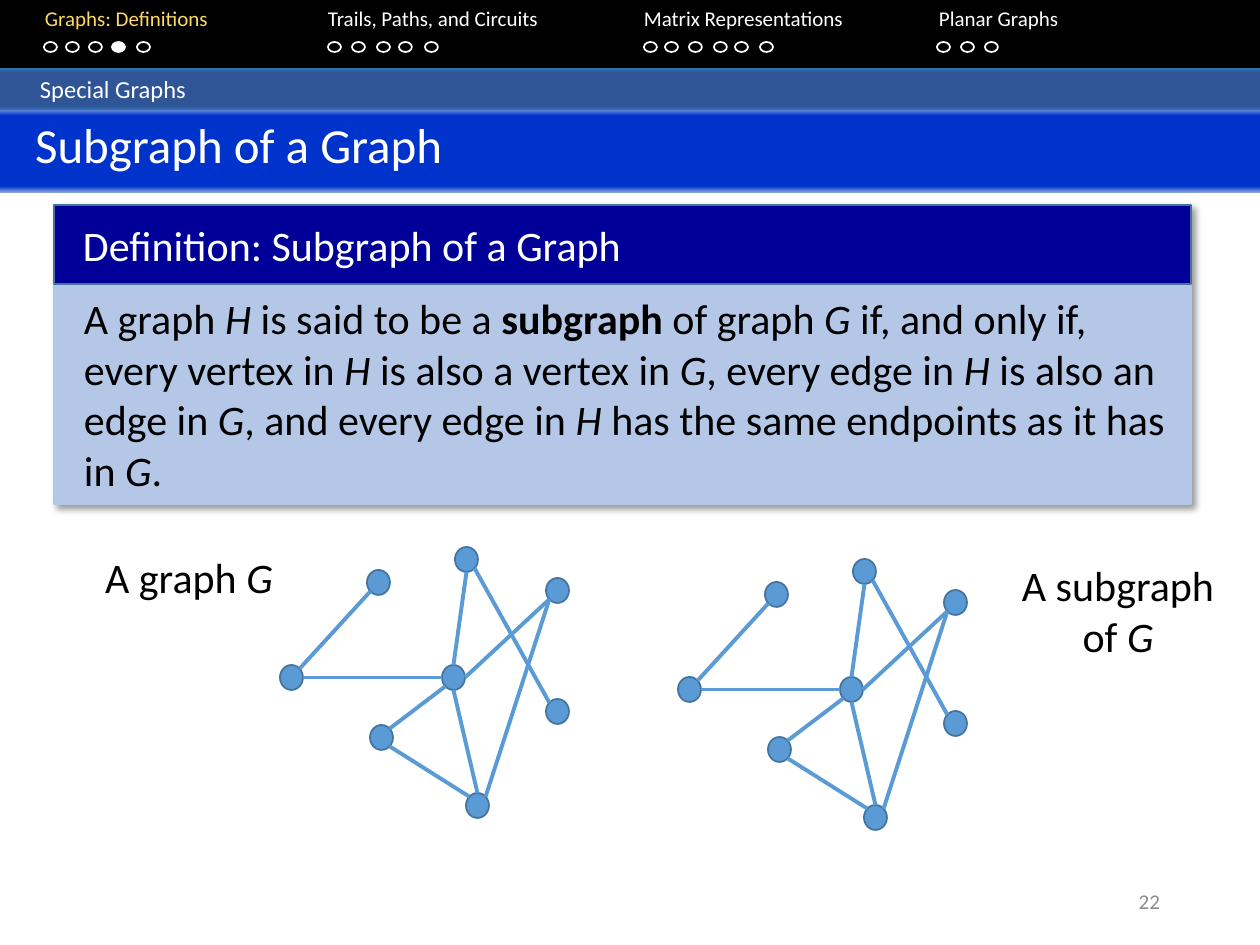
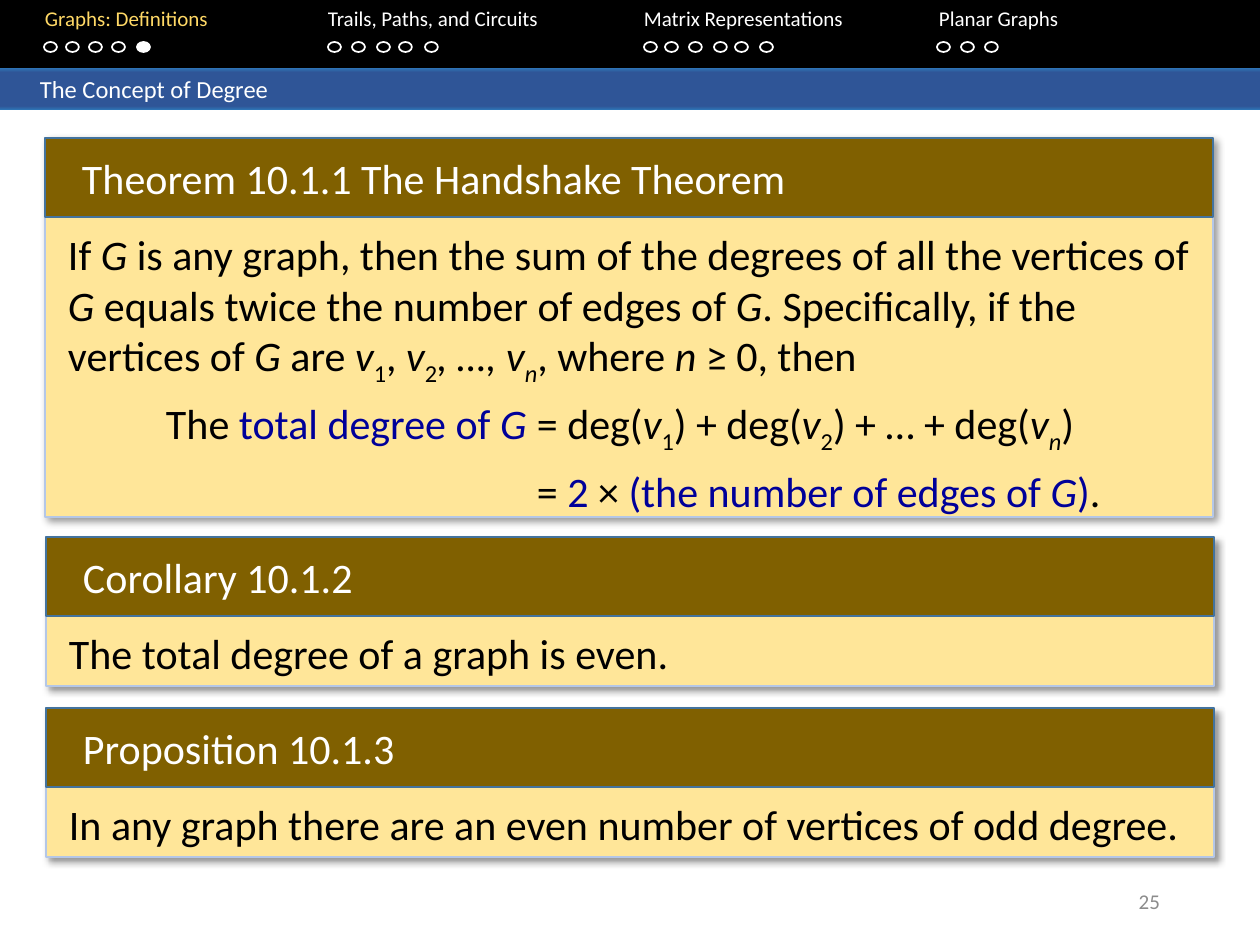
import math
from dataclasses import dataclass

import pptx
import pptx.dml.color
import pptx.enum.dml
import pptx.enum.shapes
import pptx.enum.text
import pptx.oxml
import pptx.oxml.ns
import pptx.util
from lxml import etree

ALIGN = pptx.enum.text.PP_ALIGN
ANCHOR = pptx.enum.text.MSO_ANCHOR
SHAPE = pptx.enum.shapes.MSO_SHAPE
qn = pptx.oxml.ns.qn

PX = 914400 / 126
PAGE_WIDTH, PAGE_HEIGHT = 1260, 945
INSET_X, INSET_Y = 13, 6


@dataclass(frozen=True)
class Theme:
    font: str = "Calibri"
    white: str = "FFFFFF"
    black: str = "000000"
    current: str = "FFD966"
    key: str = "000099"
    number: str = "8C8C8C"
    outline: str = "43739E"
    card_outline: str = "B4C7E7"
    vertex: str = "5B9BD5"
    strip: tuple = ((0, "2E75B6"), (11, "2F5597"), (91, "2F5597"), (100, "2E75B6"))
    title: tuple = ((0, "8FAADC"), (9, "0033CC"), (92, "0033CC"), (100, "8FAADC"))
    small: int = 12
    section: int = 14
    body: int = 24
    heading: int = 28


THEME = Theme()

# Chapter name, left edge, left edges of its progress dots
CHAPTERS = [
    ("Graphs: Definitions", 45, (44, 66, 89, 112, 137)),
    ("Trails, Paths, and Circuits", 328, (328, 352, 377, 399, 425)),
    ("Matrix Representations", 644, (644, 665, 689, 714, 735, 760)),
    ("Planar Graphs", 939, (937, 961, 985)),
]
CURRENT_CHAPTER = 0

CARD_STYLES = {
    "definition": {"bar": "000099", "fill": "B4C7E7", "heading_inset": 29,
                   "body_inset": 17, "body_top": 82},
    "theorem": {"bar": "806000", "fill": "FFE699", "heading_inset": 37,
                "body_inset": 10, "body_top": 85},
}
BAR_HEIGHT = 79

# A span is text plus flags: i italic, b bold, s subscript, k key colour
SUBGRAPH_DEFINITION = [[
    ("A graph ", ""), ("H ", "i"), ("is said to be a ", ""), ("subgraph", "b"),
    (" of graph ", ""), ("G", "i"), (" if, and only if, every vertex in ", ""),
    ("H", "i"), (" is also a vertex in ", ""), ("G", "i"),
    (", every edge in ", ""), ("H", "i"), (" is also an edge in ", ""),
    ("G", "i"), (", and every edge in ", ""), ("H", "i"),
    (" has the same endpoints as it has in ", ""), ("G", "i"), (".", ""),
]]
HANDSHAKE_THEOREM = [
    [("If ", ""), ("G", "i"),
     (" is any graph, then the sum of the degrees of all the vertices of ", ""),
     ("G", "i"), (" equals twice the number of edges of ", ""), ("G", "i"),
     (". Specifically, if the vertices of ", ""), ("G", "i"), (" are ", ""),
     ("v", "i"), ("1", "s"), (", ", ""), ("v", "i"), ("2", "s"), (", …, ", "i"),
     ("v", "i"), ("n", "is"), (", where ", ""), ("n ", "i"), ("≥ 0, then", "")],
    [("\tThe ", ""), ("total degree of ", "k"), ("G", "ik"), ("\t= deg(", ""),
     ("v", "i"), ("1", "s"), (") + deg(", ""), ("v", "i"), ("2", "s"),
     (") + … + deg(", ""), ("v", "i"), ("n", "is"), (")", "")],
    [("\t\t= ", ""), ("2", "k"), (" × ", ""), ("(the number of edges of ", "k"),
     ("G", "ik"), (")", "k"), (".", "")],
]
EQUATION_STOPS = (98, 469)

# Cards: style, (left, top, width, height), heading, paragraphs
PAGES = [
    {"section": "Special Graphs", "title": "Subgraph of a Graph", "dot": 3, "number": "22",
     "cards": [("definition", (54, 205, 1137, 299), "Definition: Subgraph of a Graph",
                SUBGRAPH_DEFINITION)],
     "graphs": [(0, 0), (398, 12)],
     "labels": [((71, 546, 236, 63), [("A graph ", ""), ("G", "i")]),
                ((1000, 554, 236, 115), [("A subgraph of ", ""), ("G", "i")])]},
    {"section": "The Concept of Degree", "title": None, "dot": 4, "number": "25",
     "cards": [("theorem", (45, 138, 1168, 379), "Theorem 10.1.1 The Handshake Theorem",
                HANDSHAKE_THEOREM),
               ("theorem", (46, 537, 1168, 149), "Corollary 10.1.2",
                [[("The total degree of a graph is even.", "")]]),
               ("theorem", (46, 708, 1168, 149), "Proposition 10.1.3",
                [[("In any graph there are an even number of vertices of odd degree.", "")]])],
     "graphs": [], "labels": []},
]

VERTEX_SIZE = (23, 25)
VERTICES = {"a": (367, 570), "b": (455, 547), "c": (280, 665), "d": (370, 725),
            "e": (442, 665), "f": (546, 699), "g": (466, 793), "h": (546, 578)}
# Each edge end is a vertex and the compass point where the edge leaves its rim
EDGES = [("c", "ne", "a", "sw"), ("c", "e", "e", "w"), ("d", "se", "g", "nw"),
         ("b", "s", "e", "n"), ("b", "se", "f", "nw"), ("h", "sw", "e", "e"),
         ("e", "s", "g", "n"), ("e", "sw", "d", "ne"), ("h", "sw", "g", "ne")]


def emu(*lengths):
    return [pptx.util.Emu(round(length * PX)) for length in lengths]


def rgb(value):
    return pptx.dml.color.RGBColor.from_string(value)


def write(frame, paragraphs, size=THEME.body, color=THEME.black, align=ALIGN.LEFT,
          anchor=ANCHOR.TOP, left=INSET_X, stops=(), space_after=0):
    """Fill a text frame with paragraphs of (text, flags) or (text, flags, colour)."""
    frame.word_wrap = True
    frame.auto_size = pptx.enum.text.MSO_AUTO_SIZE.NONE
    frame.vertical_anchor = anchor
    frame.margin_left, frame.margin_right = emu(left, INSET_X)
    frame.margin_top, frame.margin_bottom = emu(INSET_Y, INSET_Y)
    for index, spans in enumerate(paragraphs):
        para = frame.add_paragraph() if index else frame.paragraphs[0]
        para.alignment = align
        para.space_after = pptx.util.Pt(space_after)
        if stops:
            tabs = etree.SubElement(para._p.get_or_add_pPr(), qn("a:tabLst"))
            for position in emu(*stops):
                etree.SubElement(tabs, qn("a:tab"), pos=str(position), algn="l")
        for text, flags, *own_color in spans:
            span = para.add_run()
            span.text = text
            font = span.font
            font.name, font.size = THEME.font, pptx.util.Pt(size)
            font.bold, font.italic = "b" in flags, "i" in flags
            shade = THEME.key if "k" in flags else color
            font.color.rgb = rgb(own_color[0] if own_color else shade)
            if "s" in flags:
                font._element.set("baseline", "-25000")


def add_text(page, at, paragraphs, **style):
    write(page.shapes.add_textbox(*emu(*at)).text_frame, paragraphs, **style)


def add_box(page, at, fill=None, line=None, kind=SHAPE.RECTANGLE):
    box = page.shapes.add_shape(kind, *emu(*at))
    box.shadow.inherit = False
    if fill:
        box.fill.solid()
        box.fill.fore_color.rgb = rgb(fill)
    else:
        box.fill.background()
    if line:
        box.line.color.rgb = rgb(line)
        box.line.width = pptx.util.Pt(1)
    else:
        box.line.fill.background()
    return box


def shade_down(box, stops):
    """Give a shape a top-to-bottom gradient."""
    box.fill.gradient()
    box.fill.gradient_angle = 270
    stop_list = box._element.spPr.find(qn("a:gradFill")).find(qn("a:gsLst"))
    for stop in list(stop_list):
        stop_list.remove(stop)
    for percent, color in stops:
        stop = etree.SubElement(stop_list, qn("a:gs"), pos=str(percent * 1000))
        etree.SubElement(stop, qn("a:srgbClr"), val=color)


def cast_shadow(box):
    effects = box._element.spPr.find(qn("a:effectLst"))
    shadow = etree.SubElement(effects, qn("a:outerShdw"), blurRad="50800", dist="38100",
                              dir="2700000", algn="tl", rotWithShape="0")
    color = etree.SubElement(shadow, qn("a:srgbClr"), val=THEME.black)
    etree.SubElement(color, qn("a:alpha"), val="40000")


def add_navigation(page, content):
    add_box(page, (0, 0, PAGE_WIDTH, 68), THEME.black)
    start = CHAPTERS[0][1]
    names = [("\t" * (index > 0) + name, "",
              THEME.current if index == CURRENT_CHAPTER else THEME.white)
             for index, (name, _, _) in enumerate(CHAPTERS)]
    add_text(page, (0, 0, PAGE_WIDTH, 63), [names], size=THEME.small, left=start,
             stops=[left - start for _, left, _ in CHAPTERS[1:]])
    for chapter, (_, _, dots) in enumerate(CHAPTERS):
        for index, left in enumerate(dots):
            here = (chapter, index) == (CURRENT_CHAPTER, content["dot"])
            add_box(page, (left, 42, 13, 10), THEME.white if here else None,
                    THEME.white, SHAPE.OVAL)
    strip = add_box(page, (0, 68, PAGE_WIDTH, 42))
    shade_down(strip, THEME.strip)
    write(strip.text_frame, [[(content["section"], "")]], size=THEME.section,
          color=THEME.white, left=40)
    add_text(page, (890, 876, 283, 50), [[(content["number"], "")]], size=THEME.small,
             color=THEME.number, align=ALIGN.RIGHT, anchor=ANCHOR.MIDDLE)


def format_title(page, text):
    title = page.shapes.title
    title.left, title.top, title.width, title.height = emu(0, 108, PAGE_WIDTH, 85)
    shade_down(title, THEME.title)
    write(title.text_frame, [[(text, "")]], size=THEME.heading, color=THEME.white, left=35)


def add_card(page, style_name, at, heading, paragraphs):
    style = CARD_STYLES[style_name]
    left, top, width, height = at
    cast_shadow(add_box(page, at, style["fill"], THEME.card_outline))
    bar = add_box(page, (left, top, width, BAR_HEIGHT), style["bar"], THEME.outline)
    write(bar.text_frame, [[(heading, "")]], color=THEME.white, anchor=ANCHOR.MIDDLE,
          left=style["heading_inset"])
    inset, drop = style["body_inset"], style["body_top"]
    add_text(page, (left + inset, top + drop, width - inset, height - drop), paragraphs,
             stops=EQUATION_STOPS if len(paragraphs) > 1 else (), space_after=6)


def rim_point(vertex, compass):
    dx = ("e" in compass) - ("w" in compass)
    dy = ("s" in compass) - ("n" in compass)
    reach = 2 * math.hypot(dx, dy)
    (left, top), (width, height) = VERTICES[vertex], VERTEX_SIZE
    return left + width / 2 + dx * width / reach, top + height / 2 + dy * height / reach


def add_graph(page, shift_x, shift_y):
    for left, top in VERTICES.values():
        add_box(page, (left + shift_x, top + shift_y, *VERTEX_SIZE), THEME.vertex,
                THEME.outline, SHAPE.OVAL)
    for tail, tail_side, head, head_side in EDGES:
        ends = [(x + shift_x, y + shift_y)
                for x, y in (rim_point(tail, tail_side), rim_point(head, head_side))]
        edge = page.shapes.add_connector(pptx.enum.shapes.MSO_CONNECTOR.STRAIGHT,
                                         *emu(*ends[0], *ends[1]))
        edge.line.color.rgb = rgb(THEME.vertex)
        edge.line.width = pptx.util.Pt(2.25)
        etree.SubElement(edge._element.spPr, qn("a:effectLst"))


def main():
    deck = pptx.Presentation()
    deck.slide_width, deck.slide_height = emu(PAGE_WIDTH, PAGE_HEIGHT)
    title_only, blank = deck.slide_layouts[5], deck.slide_layouts[6]
    for content in PAGES:
        page = deck.slides.add_slide(title_only if content["title"] else blank)
        add_navigation(page, content)
        if content["title"]:
            format_title(page, content["title"])
        for card in content["cards"]:
            add_card(page, *card)
        for shift in content["graphs"]:
            add_graph(page, *shift)
        for at, spans in content["labels"]:
            add_text(page, at, [spans], align=ALIGN.CENTER)
    deck.save("out.pptx")


if __name__ == "__main__":
    main()
